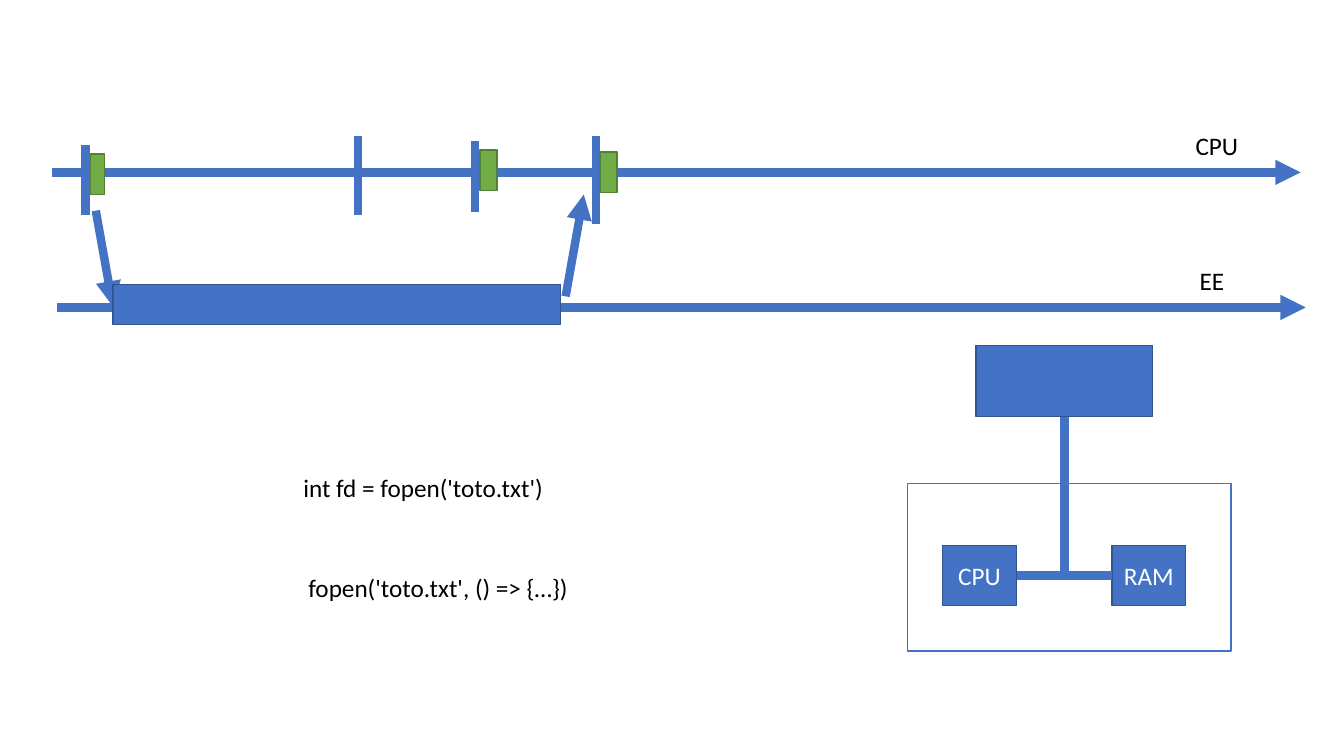
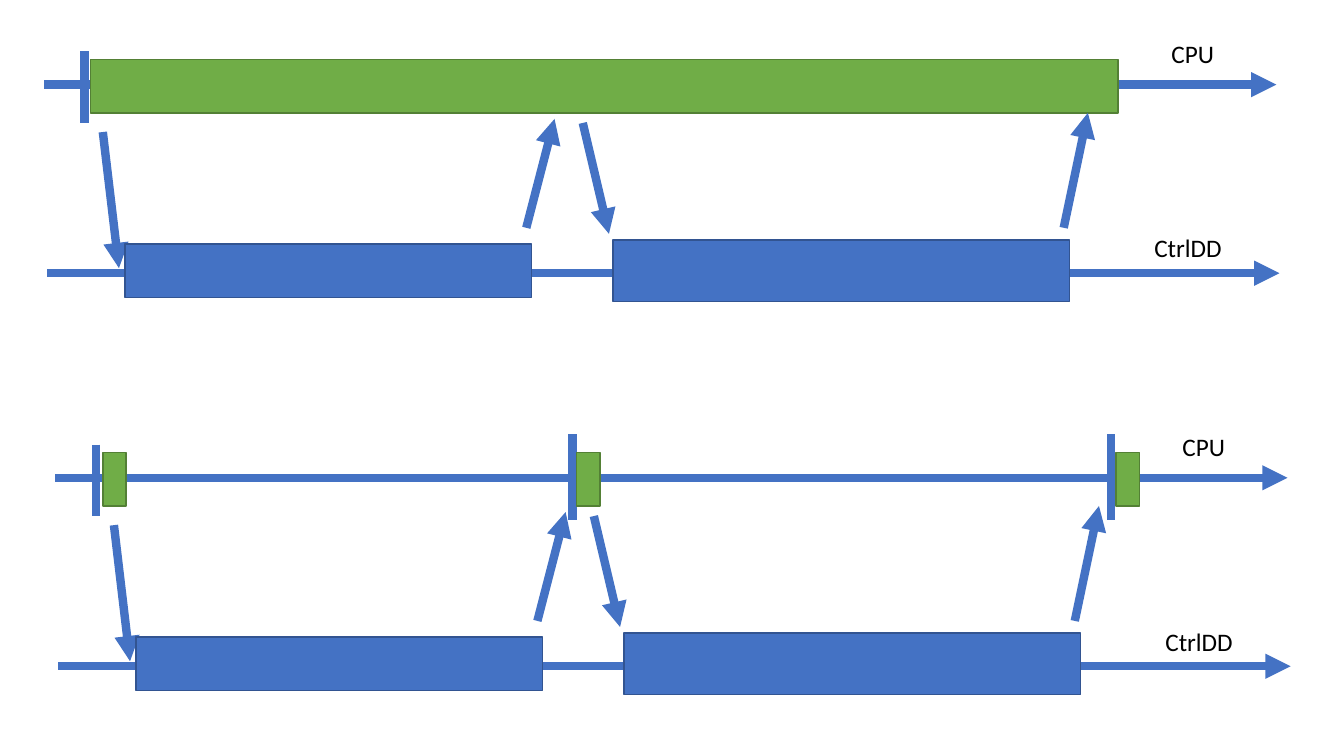
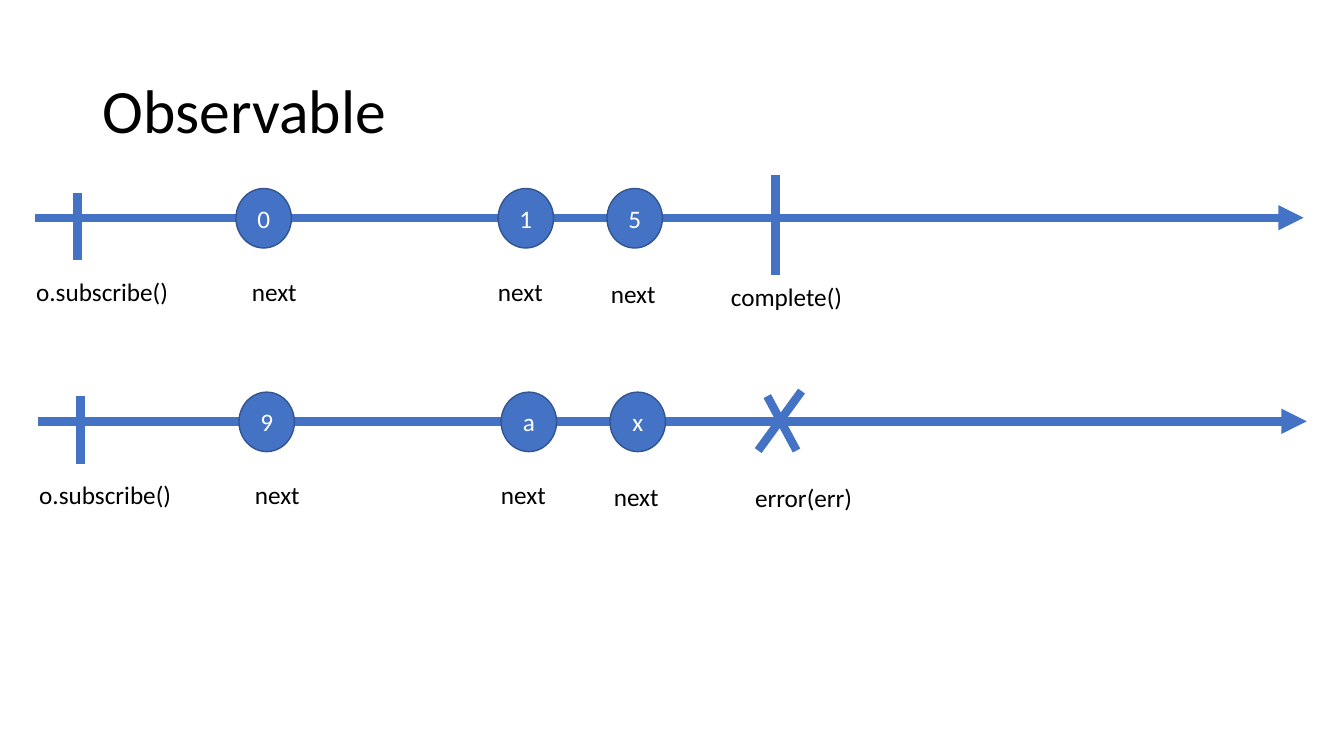
"""Timelines of blocking calls, asynchronous calls and observables."""
from dataclasses import dataclass
from typing import Sequence, Union

from lxml import etree
from pptx import Presentation
from pptx.dml.color import RGBColor
from pptx.enum import shapes, text
from pptx.oxml import ns
from pptx.slide import Slide
from pptx.text.text import TextFrame
from pptx.util import Inches, Pt


@dataclass(frozen=True)
class Theme:
    """Colours, font and sizes shared by every slide."""
    blue: str = "4472C4"
    blue_edge: str = "325491"
    green: str = "70AD47"
    green_edge: str = "538035"
    white: str = "FFFFFF"
    black: str = "000000"
    font: str = "Calibri"
    body_size: int = 18
    title_size: int = 44
    stroke: int = 6
    outline: int = 1


THEME = Theme()


@dataclass(frozen=True)
class Stroke:
    """A thick line, optionally ending in an arrowhead."""
    x1: float
    y1: float
    x2: float
    y2: float
    arrow: bool = False


@dataclass(frozen=True)
class Block:
    """A filled shape with optional centred text."""
    left: float
    top: float
    width: float
    height: float
    caption: str = ""
    fill: str = THEME.blue
    edge: str = THEME.blue_edge
    kind: shapes.MSO_SHAPE = shapes.MSO_SHAPE.RECTANGLE


@dataclass(frozen=True)
class Label:
    """Free text that keeps to one line."""
    left: float
    top: float
    width: float
    caption: str
    height: float = 0.4


Item = Union[Stroke, Block, Label]


def arrow(x1: float, y1: float, x2: float, y2: float) -> Stroke:
    """Describe a line with an arrowhead at its end."""
    return Stroke(x1, y1, x2, y2, arrow=True)


def axis(left: float, y: float, length: float) -> Stroke:
    """Describe a horizontal time axis."""
    return arrow(left, y, left + length, y)


def tick(x: float, top: float, bottom: float) -> Stroke:
    """Describe a vertical mark on an axis."""
    return Stroke(x, top, x, bottom)


def work(left: float, top: float, width: float, height: float) -> Block:
    """Describe a green span of processor time."""
    return Block(left, top, width, height, fill=THEME.green, edge=THEME.green_edge)


def event(left: float, caption: str) -> Block:
    """Describe an emitted value as a disc on the axis."""
    return Block(left, 1.87, 0.55, 0.59, caption, kind=shapes.MSO_SHAPE.OVAL)


def write(frame: TextFrame, caption: str, size: int, colour: str) -> None:
    """Put one formatted paragraph into a text frame."""
    frame.text = caption
    for span in frame.paragraphs[0].runs:
        span.font.name = THEME.font
        span.font.size = Pt(size)
        span.font.color.rgb = RGBColor.from_string(colour)


def draw_stroke(page: Slide, item: Stroke, dx: float, dy: float) -> None:
    """Draw a line as a connector without shadow."""
    connector = page.shapes.add_connector(
        shapes.MSO_CONNECTOR.STRAIGHT,
        Inches(item.x1 + dx), Inches(item.y1 + dy),
        Inches(item.x2 + dx), Inches(item.y2 + dy))
    connector.line.width = Pt(THEME.stroke)
    connector.line.color.rgb = RGBColor.from_string(THEME.blue)
    if item.arrow:
        outline = connector.line._get_or_add_ln()
        etree.SubElement(outline, ns.qn("a:tailEnd"), type="triangle")
    etree.SubElement(connector._element.spPr, ns.qn("a:effectLst"))


def draw_block(page: Slide, item: Block, dx: float, dy: float) -> None:
    """Draw a filled shape and its caption."""
    box = page.shapes.add_shape(
        item.kind, Inches(item.left + dx), Inches(item.top + dy),
        Inches(item.width), Inches(item.height))
    box.shadow.inherit = False
    box.fill.solid()
    box.fill.fore_color.rgb = RGBColor.from_string(item.fill)
    box.line.color.rgb = RGBColor.from_string(item.edge)
    box.line.width = Pt(THEME.outline)
    if item.caption:
        write(box.text_frame, item.caption, THEME.body_size, THEME.white)
        box.text_frame.vertical_anchor = text.MSO_ANCHOR.MIDDLE
        box.text_frame.paragraphs[0].alignment = text.PP_ALIGN.CENTER


def draw_label(page: Slide, item: Label, dx: float, dy: float) -> None:
    """Draw a one-line text box that fits its text."""
    box = page.shapes.add_textbox(
        Inches(item.left + dx), Inches(item.top + dy),
        Inches(item.width), Inches(item.height))
    box.text_frame.word_wrap = False
    box.text_frame.auto_size = text.MSO_AUTO_SIZE.SHAPE_TO_FIT_TEXT
    write(box.text_frame, item.caption, THEME.body_size, THEME.black)


def draw_title(page: Slide, caption: str) -> None:
    """Draw the slide title."""
    box = page.shapes.add_textbox(Inches(0.92), Inches(0.4), Inches(11.5), Inches(1.45))
    box.text_frame.word_wrap = True
    box.text_frame.vertical_anchor = text.MSO_ANCHOR.MIDDLE
    write(box.text_frame, caption, THEME.title_size, THEME.black)
    box.text_frame.paragraphs[0].line_spacing = 0.9


def draw(page: Slide, items: Sequence[Item], dx: float = 0, dy: float = 0) -> None:
    """Draw items from back to front, shifted by dx and dy."""
    painters = {Stroke: draw_stroke, Block: draw_block, Label: draw_label}
    for item in items:
        painters[type(item)](page, item, dx, dy)


def build_file_access(page: Slide) -> None:
    """Show a file being opened while the processor stays free."""
    draw(page, [
        axis(0.52, 1.71, 12.38),
        Label(11.76, 1.24, 0.63, "CPU"),
        tick(0.85, 1.44, 2.13),
        work(0.9, 1.53, 0.14, 0.4),
        tick(3.55, 1.35, 2.13),
        tick(4.71, 1.4, 2.1),
        work(4.76, 1.49, 0.17, 0.4),
        Block(9, 4.8, 3.21, 1.66, fill=THEME.white, edge=THEME.blue),
        Block(9.35, 5.41, 0.73, 0.6, "CPU"),
        Block(11.03, 5.41, 0.73, 0.6, "RAM"),
        Stroke(10.09, 5.71, 11.03, 5.71),
        Stroke(10.56, 5.67, 10.56, 4.08),
        Block(9.68, 3.43, 1.75, 0.7),
        axis(0.57, 3.05, 12.38),
        Label(11.8, 2.58, 0.45, "EE"),
        Label(2.91, 4.64, 2.61, "int fd = fopen('toto.txt')"),
        arrow(0.95, 2.09, 1.12, 3.04),
        arrow(5.61, 2.94, 5.79, 1.93),
        Block(1.12, 2.82, 4.44, 0.4),
        tick(5.91, 1.35, 2.22),
        work(5.95, 1.51, 0.17, 0.4),
        Label(2.96, 5.63, 2.81, "fopen('toto.txt', () => {…})"),
    ])


def build_disk_access(page: Slide) -> None:
    """Compare blocking disk access (top) with asynchronous access (bottom)."""
    axes = [
        axis(0.44, 0.84, 12.22),
        axis(0.47, 2.71, 12.22),
        Label(11.52, 0.33, 0.63, "CPU"),
        Label(11.35, 2.26, 0.88, "CtrlDD"),
        tick(0.84, 0.51, 1.22),
    ]
    transfers = [
        arrow(1.02, 1.31, 1.18, 2.66),
        Block(1.24, 2.42, 4.03, 0.53),
        arrow(5.22, 2.26, 5.5, 1.18),
        arrow(5.78, 1.22, 6.04, 2.32),
        Block(6.08, 2.38, 4.53, 0.61),
        arrow(10.55, 2.26, 10.79, 1.12),
    ]
    blocking = [work(0.9, 0.59, 10.19, 0.53)]
    callbacks = [work(left, 0.59, 0.23, 0.53) for left in (0.91, 5.61, 10.96)]
    wakeups = [tick(x, 0.41, 1.26) for x in (5.57, 10.91)]
    draw(page, axes + blocking + transfers)
    draw(page, axes + transfers + wakeups + callbacks, dx=0.11, dy=3.9)


def build_observable(page: Slide) -> None:
    """Show an observable that completes and one that fails."""
    draw_title(page, "Observable")
    endings = {
        "015": [tick(7.69, 1.74, 2.73), Label(7.15, 2.74, 1.32, "complete()")],
        "9ax": [Stroke(7.58, 1.91, 7.87, 2.45), Stroke(7.92, 1.86, 7.49, 2.45),
                Label(7.36, 2.72, 1.18, "error(err)")],
    }
    for row, (values, ending) in enumerate(endings.items()):
        events = [event(left, value) for left, value in zip((2.34, 4.94, 6.02), values)]
        captions = [Label(left, top, 0.65, "next")
                    for left, top in ((2.4, 2.69), (4.84, 2.69), (5.96, 2.71))]
        start = [axis(0.35, 2.16, 12.58), tick(0.77, 1.91, 2.58),
                 Label(0.26, 2.69, 1.53, "o.subscribe()")]
        draw(page, start + events + ending + captions, dx=0.03 * row, dy=2.02 * row)


def main() -> None:
    """Build the deck and save it."""
    deck = Presentation()
    deck.slide_width, deck.slide_height = Inches(13.33), Inches(7.5)
    for build in (build_file_access, build_disk_access, build_observable):
        build(deck.slides.add_slide(deck.slide_layouts[6]))
    deck.save("out.pptx")


main()
